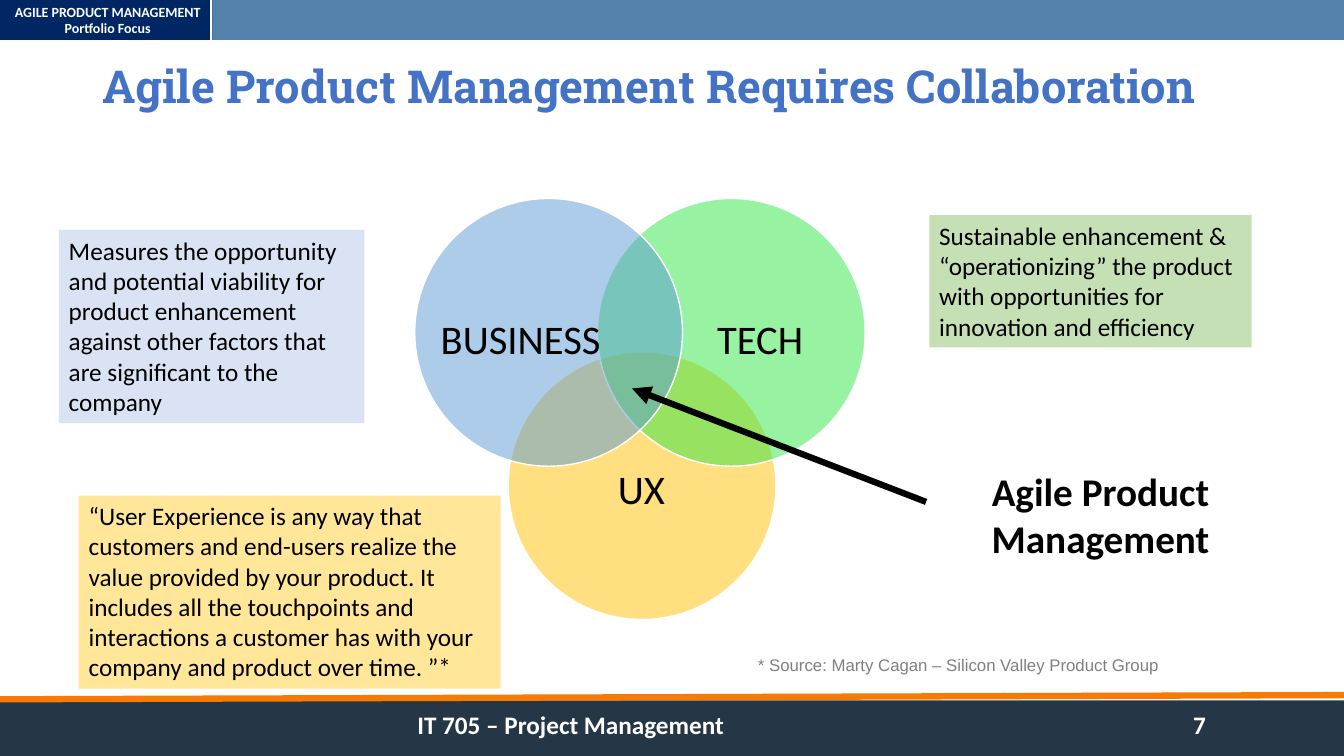
from lxml import etree
from pptx import Presentation
from pptx.dml.color import RGBColor
from pptx.enum.shapes import MSO_CONNECTOR, MSO_SHAPE
from pptx.enum.text import MSO_ANCHOR, MSO_AUTO_SIZE, PP_ALIGN
from pptx.oxml.ns import qn
from pptx.util import Emu, Pt

RECTANGLE, OVAL = MSO_SHAPE.RECTANGLE, MSO_SHAPE.OVAL
STRAIGHT = MSO_CONNECTOR.STRAIGHT
TOP, MIDDLE = MSO_ANCHOR.TOP, MSO_ANCHOR.MIDDLE
LEFT, CENTER, RIGHT = PP_ALIGN.LEFT, PP_ALIGN.CENTER, PP_ALIGN.RIGHT
NO_AUTOFIT = MSO_AUTO_SIZE.NONE

EMU_PER_PX = 9525
SLIDE_W, SLIDE_H = 1280, 720
HEADER_H, FOOTER_TOP = 38, 667
CIRCLE_D, LABEL_W, LABEL_H = 255, 160, 140
TITLE_ONLY = 5
BLACK, WHITE = "000000", "FFFFFF"

# name, circle colour, circle left and top, label left and top
VENN = [
    ("UX", "FFC000", (484, 335), (531, 398)),
    ("TECH", "30E845", (569, 189), (644, 255)),
    ("BUSINESS", "5B9BD5", (395, 189), (416, 255)),
]

NOTES = [
    ((56, 219, 291, 184), "DAE3F3",
     "Measures the opportunity and potential viability for product "
     "enhancement against other factors that are significant to the company"),
    ((885, 205, 307, 126), "C5E0B4",
     "Sustainable enhancement & “operationizing” the product with "
     "opportunities for innovation and efficiency"),
    ((75, 472, 402, 184), "FFE699",
     "“User Experience is any way that customers and end-users realize the "
     "value provided by your product. It includes all the touchpoints and "
     "interactions a customer has with your company and product over time. ”*"),
]


def px(*lengths):
    return [Emu(length * EMU_PER_PX) for length in lengths]


def rgb(code):
    return RGBColor.from_string(code)


def write(shape, lines, size, color=BLACK, font="Calibri", bold=False,
          align=LEFT, anchor=TOP, inset=True, spacing=None):
    """Fill a shape with one paragraph whose lines are parted by line breaks."""
    frame = shape.text_frame
    frame.word_wrap = True
    frame.auto_size = NO_AUTOFIT
    frame.vertical_anchor = anchor
    if not inset:
        frame.margin_left = frame.margin_right = 0
        frame.margin_top = frame.margin_bottom = 0
    paragraph = frame.paragraphs[0]
    paragraph.alignment = align
    if spacing:
        paragraph.line_spacing = spacing
    for number, line in enumerate(lines):
        if number:
            paragraph.add_line_break()
        run = paragraph.add_run()
        run.text = line
        run.font.size = Pt(size)
        run.font.name = font
        run.font.bold = bold
        run.font.color.rgb = rgb(color)


def add_text(slide, box, lines, size, **style):
    write(slide.shapes.add_textbox(*px(*box)), lines, size, **style)


def add_block(slide, box, fill, kind=RECTANGLE):
    block = slide.shapes.add_shape(kind, *px(*box))
    block.shadow.inherit = False
    block.fill.solid()
    block.fill.fore_color.rgb = rgb(fill)
    block.line.fill.background()
    return block


def add_line(slide, start, end, color, width, arrow=False):
    line = slide.shapes.add_connector(STRAIGHT, *px(*start, *end))
    line.line.color.rgb = rgb(color)
    line.line.width = Pt(width)
    if arrow:
        etree.SubElement(line.line._get_or_add_ln(), qn("a:tailEnd"), type="triangle")
    etree.SubElement(line._element.spPr, qn("a:effectLst"))


def add_venn_circle(slide, name, color, corner, label_corner):
    circle = add_block(slide, (*corner, CIRCLE_D, CIRCLE_D), color, OVAL)
    fill_color = circle._element.spPr.find(qn("a:solidFill"))[0]
    etree.SubElement(fill_color, qn("a:alpha"), val="50000")
    circle.line.color.rgb = rgb(WHITE)
    circle.line.width = Pt(1)
    add_text(slide, (*label_corner, LABEL_W, LABEL_H), [name], 29,
             align=CENTER, anchor=MIDDLE, inset=False, spacing=0.9)


def add_header(slide):
    add_block(slide, (0, 0, SLIDE_W, HEADER_H), "5381AC")
    add_block(slide, (0, 0, 202, HEADER_H), "002663")
    add_line(slide, (201, 0), (201, HEADER_H), WHITE, 1.5)
    add_text(slide, (12, 3, 181, 33), ["AGILE PRODUCT MANAGEMENT", "Portfolio Focus"],
             10, color=WHITE, bold=True, align=CENTER, inset=False)


def add_footer(slide):
    add_block(slide, (0, FOOTER_TOP, SLIDE_W, SLIDE_H - FOOTER_TOP), "253746")
    add_line(slide, (0, 666), (SLIDE_W, 662), "F77A05", 4.5)
    for left, width, text in [(388, 400, "IT 705 – Project Management"), (1127, 60, "7")]:
        add_text(slide, (left, 671, width, 38), [text], 18, color=WHITE, bold=True)


def add_title(slide, text):
    title = slide.shapes.title
    title.left, title.top, title.width, title.height = px(88, 38, 1104, 94)
    write(title, [text], 32.4, color="4472C4", font="Roboto Slab", bold=True,
          anchor=MIDDLE, spacing=0.9)


def main():
    deck = Presentation()
    deck.slide_width, deck.slide_height = px(SLIDE_W, SLIDE_H)
    slide = deck.slides.add_slide(deck.slide_layouts[TITLE_ONLY])

    add_header(slide)
    add_footer(slide)
    add_title(slide, "Agile Product Management Requires Collaboration")
    for circle in VENN:
        add_venn_circle(slide, *circle)
    add_text(slide, (608, 624, 496, 19),
             ["* Source: Marty Cagan – Silicon Valley Product Group"], 12,
             color="808080", font="Arial", align=RIGHT, inset=False)
    add_line(slide, (882, 478), (602, 370), BLACK, 4.5, arrow=True)
    add_text(slide, (905, 440, 286, 100), ["Agile Product Management"], 28,
             bold=True, align=CENTER, anchor=MIDDLE)
    for box, fill, text in NOTES:
        write(add_block(slide, box, fill), [text], 18)

    deck.save("out.pptx")


if __name__ == "__main__":
    main()
